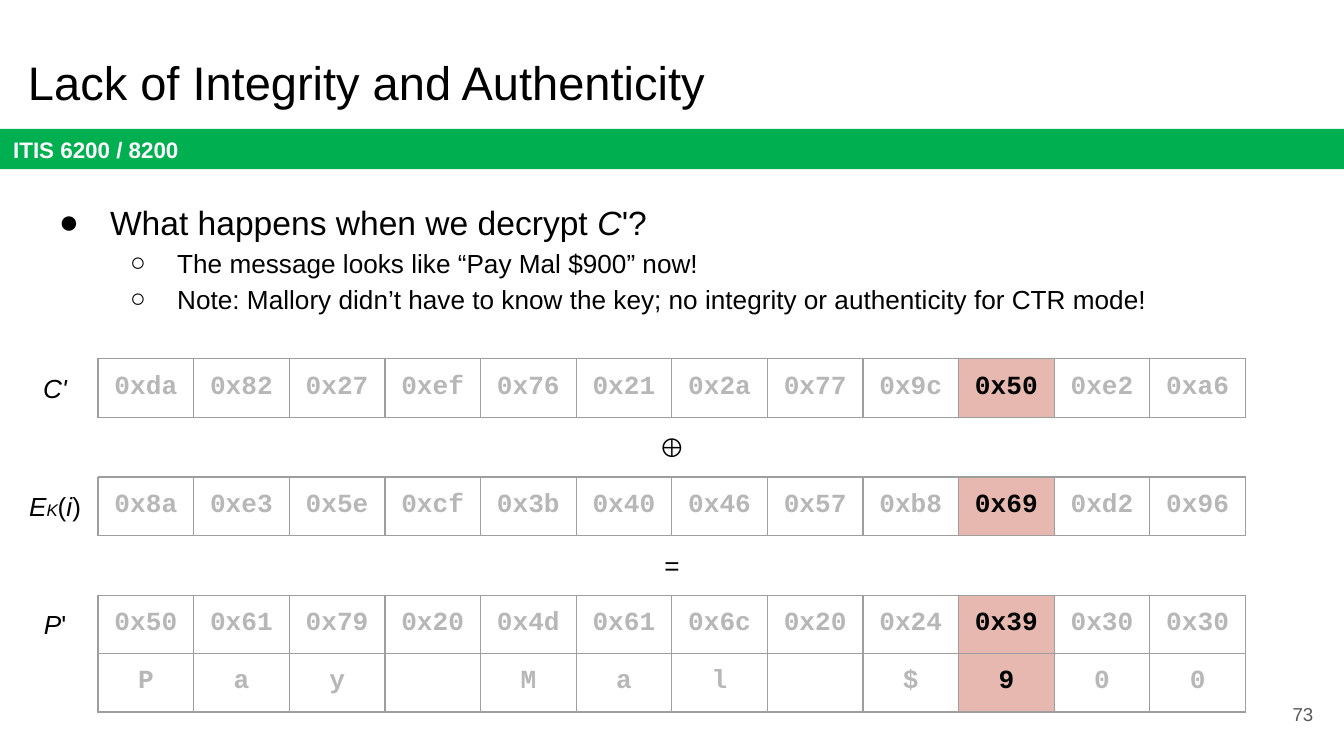
from dataclasses import dataclass

from lxml.etree import SubElement
from pptx import Presentation
from pptx.dml.color import RGBColor
from pptx.enum.shapes import MSO_SHAPE
from pptx.enum.text import MSO_ANCHOR, PP_ALIGN
from pptx.oxml.ns import qn
from pptx.util import Inches, Pt

LEFT, CENTER, RIGHT = PP_ALIGN.LEFT, PP_ALIGN.CENTER, PP_ALIGN.RIGHT
TOP, MIDDLE = MSO_ANCHOR.TOP, MSO_ANCHOR.MIDDLE
RECT = MSO_SHAPE.RECTANGLE

COLORS = {
    "green": "00B050",
    "white": "FFFFFF",
    "black": "000000",
    "page": "595959",
    "faded": "B7B7B7",
    "pink": "E6B8AF",
    "border": "9E9E9E",
}
SANS, MONO = "Arial", "Courier New"

WIDTH = 10
HEIGHT = WIDTH * 9 / 16
GRID_X, GRID_Y, GRID_W = 0.73, 2.67, 8.54
ROW_H, STEP = 0.43, 0.88
LABEL_X, SIGN_X, SMALL_W, SMALL_H = 0.11, 4.7, 0.6, 0.44
MARKED = 9


@dataclass
class Run:
    text: str
    size: float = 14
    color: str = "black"
    bold: bool = False
    italic: bool = False
    face: str = SANS


@dataclass
class Bullet:
    mark: str
    level: int
    margin: float
    hang: float
    runs: list[Run]


@dataclass
class Block:
    label: list[Run]
    rows: list[list[str]]
    sign: str = ""


BULLETS = [
    Bullet("●", 0, 0.5, 0.38, [Run("What happens when we decrypt ", 18),
                               Run("C", 18, italic=True), Run("'?", 18)]),
    Bullet("○", 1, 1, 0.35, [Run("The message looks like “Pay Mal $900” now!")]),
    Bullet("○", 1, 1, 0.35, [Run("Note: Mallory didn’t have to know the key; "
                                 "no integrity or authenticity for CTR mode!")]),
]

BLOCKS = [
    Block([Run("C'", italic=True)],
          ["0xda 0x82 0x27 0xef 0x76 0x21 0x2a 0x77 0x9c 0x50 0xe2 0xa6".split()],
          "⊕"),
    Block([Run("E", italic=True), Run("K", 9, italic=True), Run("("),
           Run("i", italic=True), Run(")")],
          ["0x8a 0xe3 0x5e 0xcf 0x3b 0x40 0x46 0x57 0xb8 0x69 0xd2 0x96".split()],
          "="),
    Block([Run("P", italic=True), Run("'")],
          ["0x50 0x61 0x79 0x20 0x4d 0x61 0x6c 0x20 0x24 0x39 0x30 0x30".split(),
           ["P", "a", "y", "", "M", "a", "l", "", "$", "9", "0", "0"]]),
]


def rgb(name: str) -> RGBColor:
    return RGBColor.from_string(COLORS[name])


def add_runs(para, runs: list[Run]) -> None:
    for run in runs:
        part = para.add_run()
        part.text = run.text
        font = part.font
        font.name, font.size = run.face, Pt(run.size)
        font.bold, font.italic = run.bold, run.italic
        font.color.rgb = rgb(run.color)


def set_frame(frame, anchor=TOP) -> None:
    frame.word_wrap = True
    frame.vertical_anchor = anchor
    frame.margin_left = frame.margin_right = Inches(0.1)
    frame.margin_top = frame.margin_bottom = Inches(0.1)


def add_text(slide, x: float, y: float, w: float, h: float,
             runs: list[Run], align=LEFT, anchor=TOP) -> None:
    box = slide.shapes.add_textbox(Inches(x), Inches(y), Inches(w), Inches(h))
    set_frame(box.text_frame, anchor)
    para = box.text_frame.paragraphs[0]
    para.alignment = align
    add_runs(para, runs)


def add_banner(slide) -> None:
    bar = slide.shapes.add_shape(RECT, 0, Inches(0.96), Inches(WIDTH), Inches(0.3))
    bar.shadow.inherit = False
    bar.fill.solid()
    bar.fill.fore_color.rgb = rgb("green")
    bar.line.fill.background()
    set_frame(bar.text_frame, MIDDLE)
    para = bar.text_frame.paragraphs[0]
    para.alignment = LEFT
    add_runs(para, [Run("ITIS 6200 / 8200", 12, "white", bold=True)])


def add_bullets(slide, items: list[Bullet]) -> None:
    box = slide.shapes.add_textbox(Inches(0.22), Inches(1.36),
                                   Inches(9.32), Inches(1.83))
    frame = box.text_frame
    set_frame(frame)
    for i, item in enumerate(items):
        para = frame.add_paragraph() if i else frame.paragraphs[0]
        para.level = item.level
        para.line_spacing = 1.15
        props = para._p.get_or_add_pPr()
        props.set("marL", str(Inches(item.margin)))
        props.set("indent", str(-Inches(item.hang)))
        tint = SubElement(props, qn("a:buClr"))
        SubElement(tint, qn("a:srgbClr"), val=COLORS["black"])
        SubElement(props, qn("a:buFont"), typeface=SANS)
        SubElement(props, qn("a:buChar"), char=item.mark)
        add_runs(para, item.runs)


def set_border(cell) -> None:
    props = cell._tc.get_or_add_tcPr()
    for side in ("lnL", "lnR", "lnT", "lnB"):
        line = SubElement(props, qn(f"a:{side}"), w=str(Pt(0.75)))
        fill = SubElement(line, qn("a:solidFill"))
        SubElement(fill, qn("a:srgbClr"), val=COLORS["border"])


def fill_cell(cell, text: str, marked: bool) -> None:
    set_border(cell)
    cell.margin_left = cell.margin_right = Inches(0.1)
    cell.margin_top = cell.margin_bottom = Inches(0.1)
    if marked:
        cell.fill.solid()
        cell.fill.fore_color.rgb = rgb("pink")
    else:
        cell.fill.background()
    para = cell.text_frame.paragraphs[0]
    para.alignment = CENTER
    if text:
        color = "black" if marked else "faded"
        add_runs(para, [Run(text, 14, color, bold=True, face=MONO)])
    else:  # keeps an empty cell from stretching its row
        SubElement(para._p, qn("a:endParaRPr"), sz="1400")


def add_grid(slide, y: float, rows: list[list[str]]) -> None:
    count = len(rows[0])
    frame = slide.shapes.add_table(len(rows), count, Inches(GRID_X), Inches(y),
                                   Inches(GRID_W), Inches(ROW_H * len(rows)))
    table = frame.table
    table.first_row = table.horz_banding = False
    for col in table.columns:
        col.width = Inches(GRID_W / count)
    for r, row in enumerate(rows):
        table.rows[r].height = Inches(ROW_H)
        for c, text in enumerate(row):
            fill_cell(table.cell(r, c), text, c == MARKED)


def add_block(slide, y: float, block: Block) -> None:
    """Draw a labelled byte grid and the operator below it."""
    add_grid(slide, y, block.rows)
    add_text(slide, LABEL_X, y, SMALL_W, SMALL_H, block.label, CENTER)
    if block.sign:
        add_text(slide, SIGN_X, y + STEP / 2, SMALL_W, SMALL_H,
                 [Run(block.sign)], CENTER)


def main() -> None:
    deck = Presentation()
    deck.slide_width, deck.slide_height = Inches(WIDTH), Inches(HEIGHT)
    slide = deck.slides.add_slide(deck.slide_layouts[6])
    add_banner(slide)
    add_bullets(slide, BULLETS)
    add_text(slide, 0.11, 0.3, 9.32, 0.63,
             [Run("Lack of Integrity and Authenticity", 25.2)])
    add_text(slide, 9.27, 5.1, 0.6, 0.43, [Run("73", 10, "page")], RIGHT, MIDDLE)
    for i, block in enumerate(BLOCKS):
        add_block(slide, GRID_Y + i * STEP, block)
    deck.save("out.pptx")


if __name__ == "__main__":
    main()
